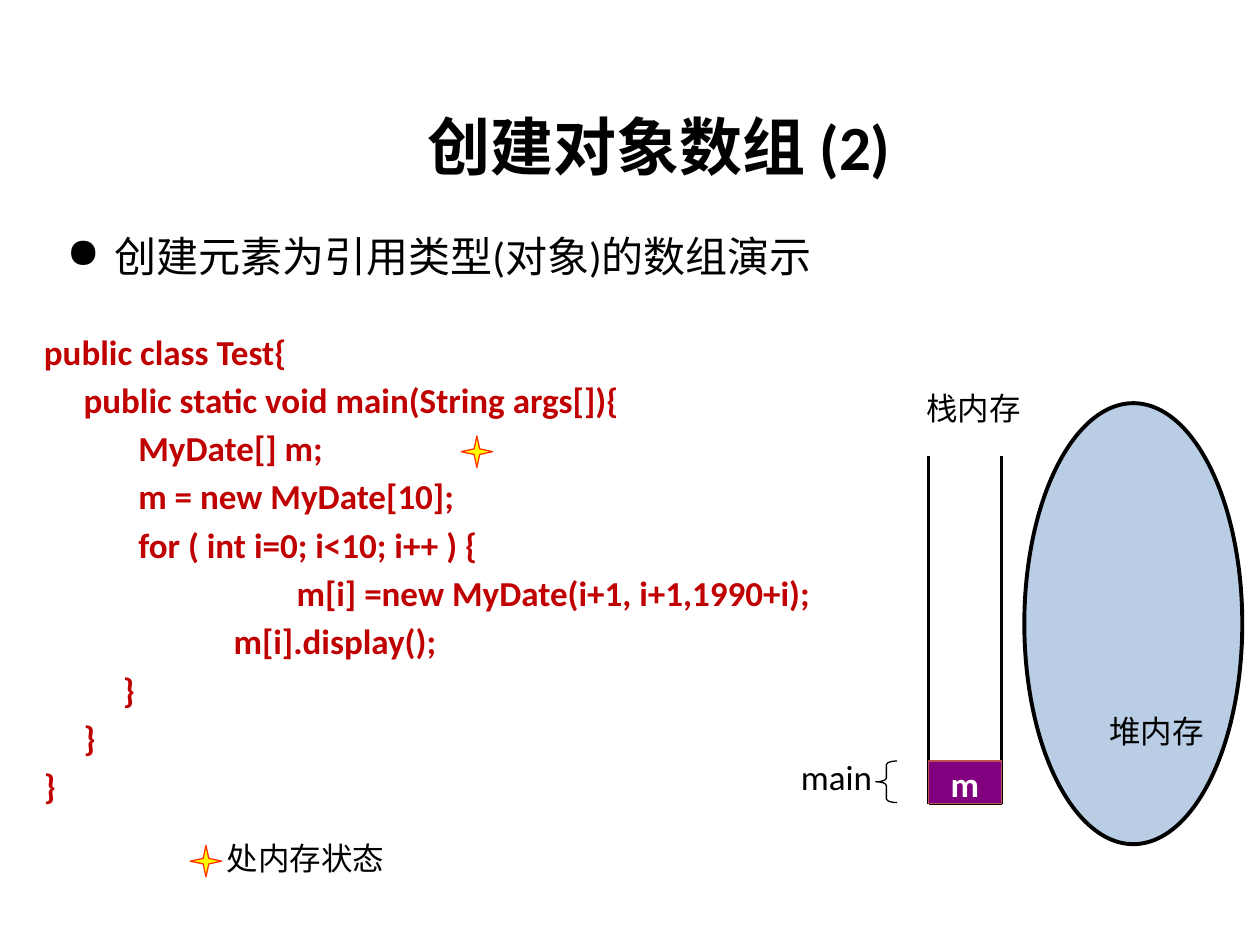
from lxml import etree
from pptx import Presentation
from pptx.dml.color import RGBColor
from pptx.enum import shapes, text
from pptx.oxml import ns
from pptx.util import Inches, Pt

HUES = {
    "ink": "000000", "code": "C00000", "page": "FFFFFF", "cell": "800080",
    "edge": "C0504D", "heap": "B9CDE5", "star": "FFFF00", "ray": "FF3300",
}
ALIGN = {
    "left": text.PP_ALIGN.LEFT,
    "mid": text.PP_ALIGN.CENTER,
    "right": text.PP_ALIGN.RIGHT,
}

deck = Presentation()
deck.slide_width, deck.slide_height = Inches(10), Inches(7.5)
slide = deck.slides.add_slide(deck.slide_layouts[6])
slide.background.fill.solid()
slide.background.fill.fore_color.rgb = RGBColor.from_string(HUES["page"])


def write(words, area, size=18, hue="ink", bold=False, align="right",
          pad=0.05, gap=0, bullet=None, anchor=text.MSO_ANCHOR.TOP):
    box = slide.shapes.add_textbox(*map(Inches, area))
    frame = box.text_frame
    frame.word_wrap = True
    frame.vertical_anchor = anchor
    frame.margin_top = frame.margin_bottom = Inches(pad)
    for row, line in enumerate(words.split("\n")):
        para = frame.add_paragraph() if row else frame.paragraphs[0]
        para.alignment = ALIGN[align]
        if row:
            para.space_before = Pt(gap)
        if bullet:
            props = para._p.get_or_add_pPr()
            props.set("marL", str(Inches(0.38)))
            props.set("indent", str(Inches(-0.38)))
            etree.SubElement(props, ns.qn("a:buChar"), char=bullet)
        run = para.add_run()
        run.text = line
        run.font.name = "Calibri"
        run.font.size = Pt(size)
        run.font.bold = bold
        run.font.color.rgb = RGBColor.from_string(HUES[hue])


def draw(kind, area, fill=None, line="ink", width=0.75, adjust=()):
    shape = slide.shapes.add_shape(kind, *map(Inches, area))
    shape.shadow.inherit = False
    if fill:
        shape.fill.solid()
        shape.fill.fore_color.rgb = RGBColor.from_string(HUES[fill])
    else:
        shape.fill.background()
    shape.line.color.rgb = RGBColor.from_string(HUES[line])
    shape.line.width = Pt(width)
    for spot, value in enumerate(adjust):
        shape.adjustments[spot] = value


code = """    public class Test{
         public static void main(String args[]){
      \t\tMyDate[] m;
      \t\tm = new MyDate[10];
      \t\tfor ( int i=0; i<10; i++ ) {
            \t                    m[i] =new MyDate(i+1, i+1,1990+i);
\t                    m[i].display();
      \t      }
         }
    }"""
write(code, (0, 2.57, 7.8, 4.07), size=20, hue="code", bold=True,
      align="left", gap=3.6)

left, right, top, base = 7.37, 7.95, 3.62, 6.38
for ends in ((left, top, left, base), (right, top, right, base),
             (left, base, right, base)):
    wall = slide.shapes.add_connector(
        shapes.MSO_CONNECTOR.STRAIGHT, *map(Inches, ends))
    wall.line.color.rgb = RGBColor.from_string(HUES["ink"])
    wall.line.width = Pt(1.5)
    etree.SubElement(wall._element.spPr, ns.qn("a:effectLst"))

kinds = shapes.MSO_SHAPE
draw(kinds.LEFT_BRACE, (6.95, 6.04, 0.17, 0.33), adjust=(0.17, 0.5))
write("main", (6.02, 5.95, 1, 0.43), size=20)
write("栈内存", (6.87, 3.04, 1.33, 0.4))
draw(kinds.RECTANGLE, (left, 6.04, right - left, 0.34), "cell", "edge")
write("m", (left, 6.05, 0.5, 0.33), size=20, hue="page", bold=True, pad=0)
draw(kinds.OVAL, (8.13, 3.2, 1.73, 3.5), "heap", width=2.25)
write("堆内存", (7.73, 5.6, 1.92, 0.4))

write("创建元素为引用类型(对象)的数组演示", (0.43, 1.78, 6.3, 0.5),
      size=24, align="left", bullet="●")
write("处内存状态", (0.98, 6.66, 2.17, 0.3), pad=0)
for x, y in ((1.51, 6.71), (3.66, 3.46)):
    draw(kinds.STAR_4_POINT, (x, y, 0.25, 0.25), "star", "ray",
         adjust=(0.125,))
write("创建对象数组 (2)", (2.73, 0.76, 5, 0.79), size=36, bold=True,
      align="mid", anchor=text.MSO_ANCHOR.MIDDLE)

deck.save("out.pptx")
